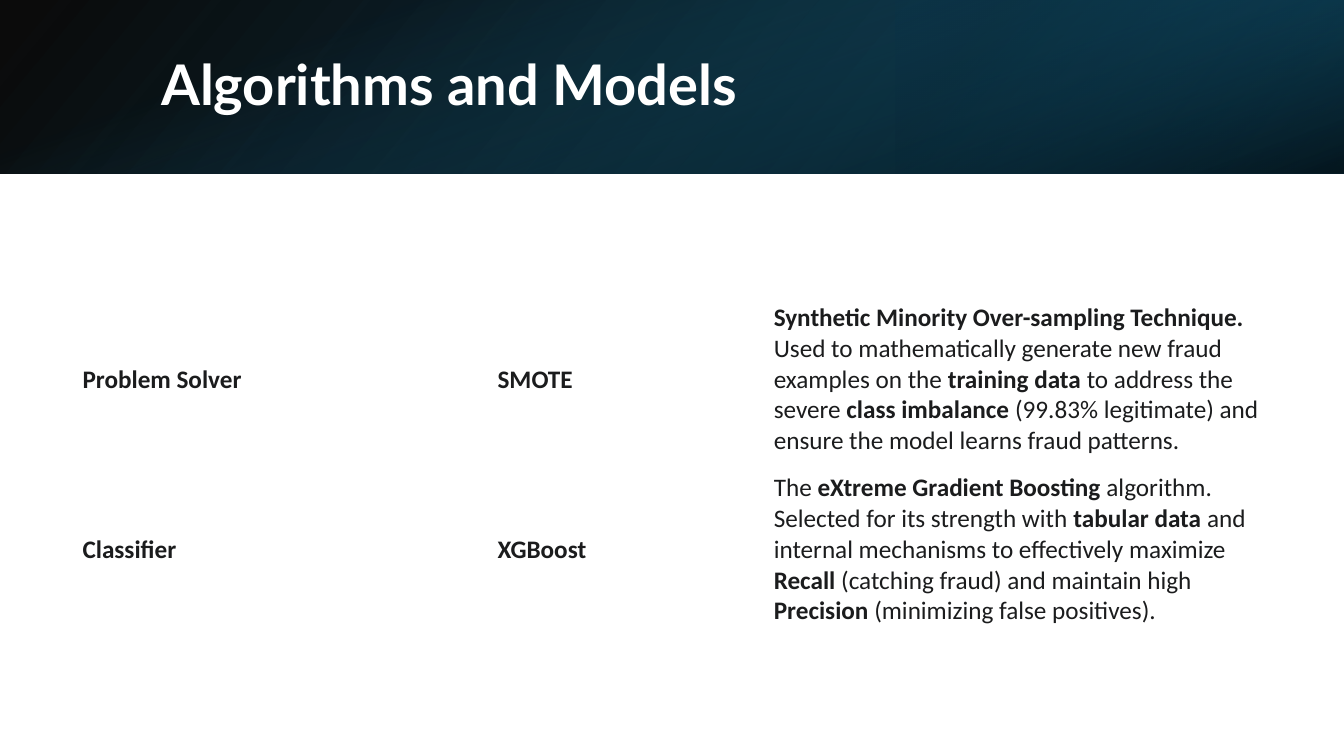
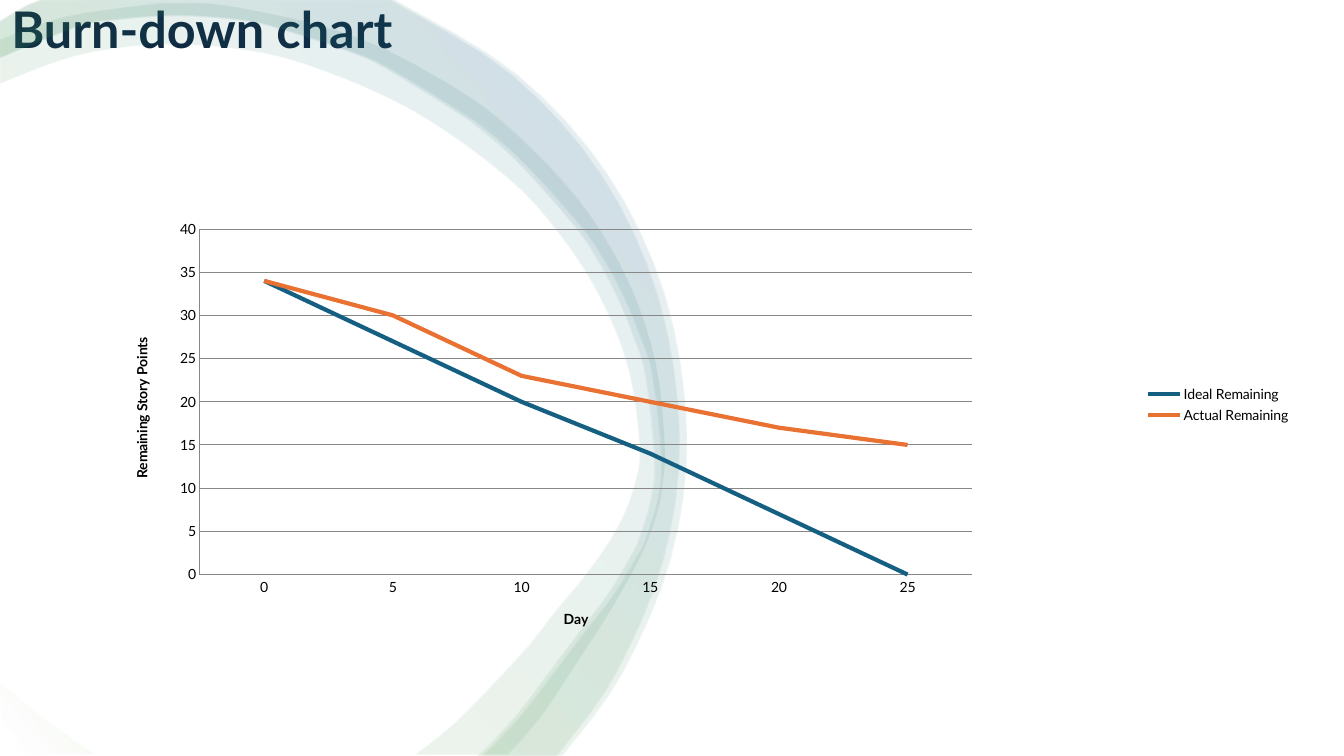
from pptx import Presentation
from pptx.chart.data import CategoryChartData
from pptx.dml.color import RGBColor
from pptx.enum.chart import XL_CHART_TYPE, XL_LEGEND_POSITION, XL_TICK_MARK
from pptx.enum.shapes import MSO_SHAPE
from pptx.enum.text import MSO_ANCHOR, MSO_AUTO_SIZE, PP_ALIGN
from pptx.oxml import parse_xml
from pptx.oxml.ns import nsdecls, qn
from pptx.oxml.xmlchemy import OxmlElement
from pptx.util import Cm, Pt

LINE_CHART = XL_CHART_TYPE.LINE
LEGEND_RIGHT = XL_LEGEND_POSITION.RIGHT
NO_TICK = XL_TICK_MARK.NONE
RECTANGLE = MSO_SHAPE.RECTANGLE
TOP, MIDDLE = MSO_ANCHOR.TOP, MSO_ANCHOR.MIDDLE
NO_FIT = MSO_AUTO_SIZE.NONE
LEFT = PP_ALIGN.LEFT

WHITE = RGBColor(0xFF, 0xFF, 0xFF)
BLACK = RGBColor(0x00, 0x00, 0x00)
NAVY = RGBColor(0x0E, 0x28, 0x41)
INK = RGBColor(0x1B, 0x1C, 0x1D)
TEAL = RGBColor(0x15, 0x60, 0x82)
DEEP_TEAL = RGBColor(0x10, 0x48, 0x62)
DARK_TEAL = RGBColor(0x0B, 0x30, 0x41)
GREEN = RGBColor(0x4E, 0xA7, 0x2E)
ORANGE = RGBColor(0xE9, 0x71, 0x32)
GRAY = RGBColor(0x87, 0x87, 0x87)

WIDTH, HEIGHT = Cm(33.87), Cm(19.05)
BAND_HEIGHT = Cm(4.37)
RIBBON_UNIT = 0.0254
RIBBON_STOPS = [(2, WHITE, 10), (16, GREEN, 10), (85, TEAL, 10), (100, WHITE, 10)]

SLIM_EDGES = [
    [(0, 41), (5, 38), (65, 17), (148, 5), (169, 4), (231, 7), (353, 37),
     (463, 95), (527, 148), (582, 210), (624, 282), (650, 361), (659, 444),
     (656, 486), (652, 507), (637, 548), (607, 603), (575, 653), (541, 705),
     (514, 738), (503, 749)],
    [(412, 749), (416, 746), (445, 723), (472, 697), (524, 641), (548, 610),
     (574, 579), (597, 548), (616, 516), (629, 481), (634, 444), (623, 367),
     (595, 296), (554, 232), (501, 175), (407, 109), (302, 64), (227, 48),
     (150, 45), (75, 56), (4, 82), (0, 84)],
]
SLIM_TAIL = [(0, 677), (0, 749), (95, 749), (74, 735), (43, 712), (12, 687)]
WIDE_EDGES = [
    [(0, 22), (25, 7), (42, 0)],
    [(384, 0), (394, 4), (507, 74), (596, 173), (653, 295), (674, 433),
     (658, 555), (611, 668), (560, 740), (551, 750)],
    [(473, 750), (487, 737), (514, 707), (545, 666), (575, 626), (603, 589),
     (624, 554), (633, 536), (645, 497), (649, 456), (640, 373), (628, 334),
     (612, 295), (593, 259), (570, 225), (516, 164), (478, 130), (453, 112),
     (385, 70), (349, 53), (273, 28), (235, 20), (173, 16), (116, 20),
     (77, 27), (3, 57), (0, 59)],
]
WIDE_TAIL = [(0, 727), (0, 750), (28, 750), (15, 739)]

MODEL_ROWS = [
    ["*Problem Solver*", "*SMOTE*",
     "*Synthetic Minority Over-sampling Technique.* Used to mathematically "
     "generate new fraud examples on the *training data* to address the severe "
     "*class imbalance* (99.83% legitimate) and ensure the model learns fraud "
     "patterns."],
    ["*Classifier*", "*XGBoost*",
     "The *eXtreme Gradient Boosting* algorithm. Selected for its strength with "
     "*tabular data* and internal mechanisms to effectively maximize *Recall* "
     "(catching fraud) and maintain high *Precision* (minimizing false "
     "positives)."],
]
BURN_DOWN = [
    ("Ideal Remaining", (34, 27, 20, 14, 7, 0), TEAL),
    ("Actual Remaining", (34, 30, 23, 20, 17, 15), ORANGE),
]


def write(para, text, font="Lato", size=10, color=BLACK, bold=False):
    span = para.add_run()
    span.text = text
    span.font.name = font
    span.font.size = Pt(size)
    span.font.color.rgb = color
    span.font.bold = bold


def smooth(points, steps=4):
    padded = [points[0], *points, points[-1]]
    curve = [points[0]]
    for a, b, c, d in zip(padded, padded[1:], padded[2:], padded[3:]):
        for step in range(1, steps + 1):
            t = step / steps
            curve.append(tuple(
                q + t / 2 * (r - p + t * (2 * p - 5 * q + 4 * r - s
                                         + t * (3 * q - p - 3 * r + s)))
                for p, q, r, s in zip(a, b, c, d)))
    return curve


class Deck:
    def __init__(self):
        self.deck = Presentation()
        self.deck.slide_width, self.deck.slide_height = WIDTH, HEIGHT
        self.page = None

    def add_page(self):
        self.page = self.deck.slides.add_slide(self.deck.slide_layouts[5])

    def title(self, text, left, top, width, height, anchor, **style):
        box = self.page.shapes.title
        box.left, box.top, box.width, box.height = left, top, width, height
        frame = box.text_frame
        frame.auto_size = NO_FIT
        frame.word_wrap = True
        frame.vertical_anchor = anchor
        para = frame.paragraphs[0]
        para.alignment = LEFT
        para.line_spacing = 0.9
        write(para, text, bold=True, **style)
        return box

    def gradient(self, shape, stops, angle):
        shape.shadow.inherit = False
        shape.line.fill.background()
        shape.fill.gradient()
        shape.fill.gradient_angle = angle
        stop_list = shape._element.spPr.find(".//" + qn("a:gsLst"))
        for old in list(stop_list):
            stop_list.remove(old)
        for position, color, opacity in stops:
            stop_list.append(parse_xml(
                f'<a:gs {nsdecls("a")} pos="{position * 1000}">'
                f'<a:srgbClr val="{color}"><a:alpha val="{opacity * 1000}"/>'
                '</a:srgbClr></a:gs>'))

    def band(self, left, stops, angle):
        shape = self.page.shapes.add_shape(
            RECTANGLE, left, 0, WIDTH - left, BAND_HEIGHT)
        self.gradient(shape, stops, angle)

    def ribbon(self, edges, tail, stretch=1):
        outline = [point for edge in edges for point in smooth(edge)]
        loops = [[(Cm(x * stretch * RIBBON_UNIT), Cm(y * RIBBON_UNIT))
                  for x, y in loop] for loop in (outline, tail)]
        builder = self.page.shapes.build_freeform(*loops[0][0])
        builder.add_line_segments(loops[0][1:])
        builder.move_to(*loops[1][0])
        builder.add_line_segments(loops[1][1:])
        self.gradient(builder.convert_to_shape(), RIBBON_STOPS, 40)

    def table(self, rows, left, top, widths, row_height):
        table = self.page.shapes.add_table(
            len(rows), len(widths), left, top, sum(widths),
            row_height * len(rows)).table
        table.first_row = table.horz_banding = False
        for column, width in zip(table.columns, widths):
            column.width = width
        for row, texts in zip(table.rows, rows):
            row.height = row_height
            for cell, text in zip(row.cells, texts):
                self.cell(cell, text)

    def cell(self, cell, text):
        cell.vertical_anchor = MIDDLE
        cell.margin_left = cell.margin_right = Cm(0.3)
        cell.margin_top = cell.margin_bottom = Cm(0.2)
        cell.fill.background()
        for index, side in enumerate(("lnL", "lnR", "lnT", "lnB")):
            cell._tc.tcPr.insert(index, parse_xml(
                f'<a:{side} {nsdecls("a")} w="{Pt(0.75)}"><a:solidFill>'
                f'<a:srgbClr val="{WHITE}"/></a:solidFill></a:{side}>'))
        para = cell.text_frame.paragraphs[0]
        for index, piece in enumerate(text.split("*")):
            if piece:
                write(para, piece, font="Calibri", size=18, color=INK,
                      bold=index % 2 == 1)

    def line_chart(self, categories, series, left, top, width, height, plot_area):
        data = CategoryChartData()
        data.categories = categories
        for name, values, _ in series:
            data.add_series(name, values)
        chart = self.page.shapes.add_chart(
            LINE_CHART, left, top, width, height, data).chart
        chart.has_title = False
        chart.font.name = "Lato"
        chart.font.size = Pt(10)
        chart.font.color.rgb = BLACK
        chart.has_legend = True
        chart.legend.position = LEGEND_RIGHT
        chart.legend.include_in_layout = False
        chart.plots[0].vary_by_categories = False
        for line, (_, _, color) in zip(chart.plots[0].series, series):
            line.smooth = False
            line.format.line.color.rgb = color
            line.format.line.width = Pt(3)
        self.axis(chart.category_axis, "Day")
        self.axis(chart.value_axis, "Remaining Story Points")
        chart.value_axis.minimum_scale = 0
        chart.value_axis.maximum_scale = 40
        chart.value_axis.major_unit = 5
        chart.value_axis.has_major_gridlines = True
        grid = chart.value_axis.major_gridlines.format.line
        grid.color.rgb = GRAY
        grid.width = Pt(0.75)
        self.place_plot(chart, plot_area)

    def axis(self, axis, title):
        axis.major_tick_mark = axis.minor_tick_mark = NO_TICK
        axis.format.line.color.rgb = GRAY
        axis.format.line.width = Pt(0.75)
        axis.has_title = True
        write(axis.axis_title.text_frame.paragraphs[0], title, bold=True)

    def place_plot(self, chart, plot_area):
        plot = chart._chartSpace.find(".//" + qn("c:plotArea"))
        for old in plot.findall(qn("c:layout")):
            plot.remove(old)
        layout = OxmlElement("c:layout")
        manual = OxmlElement("c:manualLayout")
        layout.append(manual)
        settings = [("layoutTarget", "inner"), ("xMode", "edge"), ("yMode", "edge"),
                    *zip("xywh", plot_area)]
        for name, value in settings:
            setting = OxmlElement(f"c:{name}")
            setting.set("val", str(value))
            manual.append(setting)
        plot.insert(0, layout)


def add_models(deck):
    deck.add_page()
    deck.band(0, [(0, BLACK, 96), (100, DEEP_TEAL, 100)], 320)
    deck.band(Cm(22.58), [(19, DARK_TEAL, 68), (100, TEAL, 79)], 320)
    deck.band(0, [(23, TEAL, 0), (99, BLACK, 74)], 290)
    title = deck.title("Algorithms and Models", Cm(3.81), Cm(0.97), Cm(27.89),
                       Cm(2.44), MIDDLE, size=40, color=WHITE)
    deck.page.shapes._spTree.append(title._element)
    deck.table(MODEL_ROWS, Cm(1.78), Cm(7.42),
               [Cm(10.46), Cm(6.96), Cm(12.93)], Cm(4.29))


def add_burn_down(deck):
    deck.add_page()
    deck.title("Burn-down chart", Cm(0.03), 0, Cm(17.37), Cm(3.61), TOP,
               size=36, color=NAVY)
    deck.ribbon(SLIM_EDGES, SLIM_TAIL)
    for stretch in (1, 1.01):
        deck.ribbon(WIDE_EDGES, WIDE_TAIL, stretch)
    deck.line_chart([str(day) for day in range(0, 26, 5)], BURN_DOWN,
                    Cm(0.89), Cm(2.82), Cm(31.9), Cm(14.76),
                    (0.13, 0.2, 0.61, 0.59))


def main():
    deck = Deck()
    add_models(deck)
    add_burn_down(deck)
    deck.deck.save("out.pptx")


if __name__ == "__main__":
    main()
